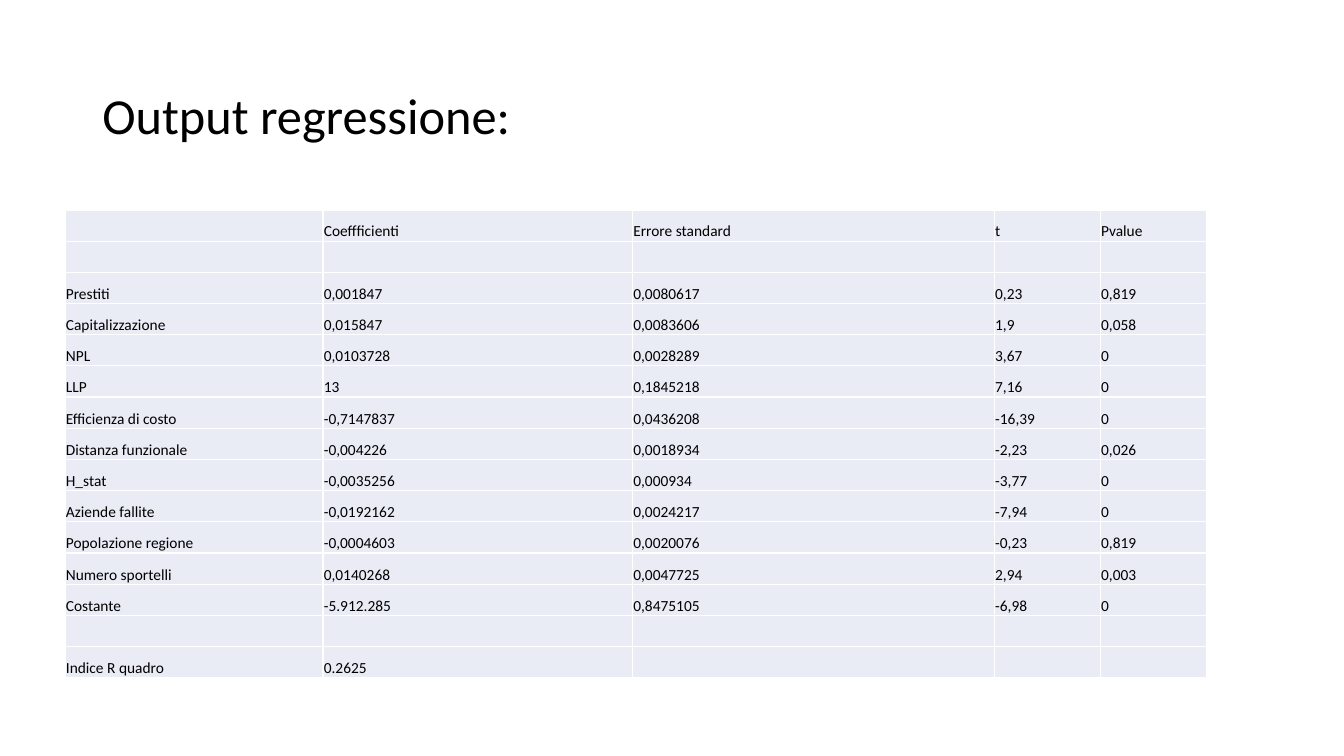
from lxml import etree
from pptx import Presentation
from pptx import util as u
from pptx.dml.color import RGBColor
from pptx.enum import text
from pptx.oxml.ns import qn

COLOURS = {"ink": "000000", "cell": "E9EBF5", "border": "FFFFFF"}

COLUMN_WIDTHS = [6.5, 7.8, 9.12, 2.67, 2.67]
RESULTS = [
    ["", "Coeffficienti", "Errore standard", "t", "Pvalue"],
    [],
    ["Prestiti", "0,001847", "0,0080617", "0,23", "0,819"],
    ["Capitalizzazione", "0,015847", "0,0083606", "1,9", "0,058"],
    ["NPL", "0,0103728", "0,0028289", "3,67", "0"],
    ["LLP", "13", "0,1845218", "7,16", "0"],
    ["Efficienza di costo", "-0,7147837", "0,0436208", "-16,39", "0"],
    ["Distanza funzionale", "-0,004226", "0,0018934", "-2,23", "0,026"],
    ["H_stat", "-0,0035256", "0,000934", "-3,77", "0"],
    ["Aziende fallite", "-0,0192162", "0,0024217", "-7,94", "0"],
    ["Popolazione regione", "-0,0004603", "0,0020076", "-0,23", "0,819"],
    ["Numero sportelli", "0,0140268", "0,0047725", "2,94", "0,003"],
    ["Costante", "-5.912.285", "0,8475105", "-6,98", "0"],
    [],
    ["Indice R quadro", "0.2625"],
]


class SlideBuilder:
    def __init__(self, page, font="Calibri"):
        self.page = page
        self.font = font

    def apply(self, target, values):
        for name, value in values.items():
            setattr(target, name, value)

    def add_words(self, para, words, size):
        # Paragraph font also sets the line height of empty cells
        self.apply(para.font, {"name": self.font, "size": u.Pt(size)})
        if words:
            span = para.add_run()
            span.text = words
            self.apply(span.font, {"name": self.font, "size": u.Pt(size)})
            span.font.color.rgb = RGBColor.from_string(COLOURS["ink"])
        else:
            end = etree.SubElement(para._p, qn("a:endParaRPr"))
            end.set("sz", str(size * 100))

    def title(self, words, left, top, width, height, size):
        box = self.page.shapes.add_textbox(
            u.Cm(left), u.Cm(top), u.Cm(width), u.Cm(height))
        self.apply(box.text_frame, {
            "word_wrap": True, "vertical_anchor": text.MSO_ANCHOR.MIDDLE})
        para = box.text_frame.paragraphs[0]
        para.line_spacing = 0.9
        self.add_words(para, words, size)

    def borders(self, cell, points):
        properties = cell._tc.get_or_add_tcPr()
        for index, side in enumerate(("a:lnL", "a:lnR", "a:lnT", "a:lnB")):
            line = etree.Element(qn(side), w=str(u.Pt(points)))
            fill = etree.SubElement(line, qn("a:solidFill"))
            etree.SubElement(fill, qn("a:srgbClr"), val=COLOURS["border"])
            properties.insert(index, line)

    def table(self, rows, widths, left, top, height, size):
        frame = self.page.shapes.add_table(
            len(rows), len(widths), u.Cm(left), u.Cm(top),
            u.Cm(sum(widths)), u.Cm(height))
        grid = frame.table
        self.apply(grid, {"first_row": False, "horz_banding": False})
        for column, width in zip(grid.columns, widths):
            column.width = u.Cm(width)
        for row, values in zip(grid.rows, rows):
            padded = values + [""] * (len(widths) - len(values))
            for cell, words in zip(row.cells, padded):
                self.apply(cell, {
                    "margin_left": u.Cm(0.02), "margin_right": u.Cm(0.02),
                    "margin_top": u.Cm(0.02), "margin_bottom": 0,
                    "vertical_anchor": text.MSO_ANCHOR.BOTTOM})
                cell.fill.solid()
                cell.fill.fore_color.rgb = RGBColor.from_string(COLOURS["cell"])
                self.borders(cell, 1)
                self.add_words(cell.text_frame.paragraphs[0], words, size)


def main():
    deck = Presentation()
    deck.slide_width, deck.slide_height = u.Cm(33.87), u.Cm(19.05)
    builder = SlideBuilder(deck.slides.add_slide(deck.slide_layouts[6]))

    # Heading
    builder.title("Output regressione:", 2.33, 1.14, 29.21, 3.68, 36)

    # Regression results
    builder.table(RESULTS, COLUMN_WIDTHS, 1.64, 5.29, 11.79, 11)

    deck.save("out.pptx")


if __name__ == "__main__":
    main()
